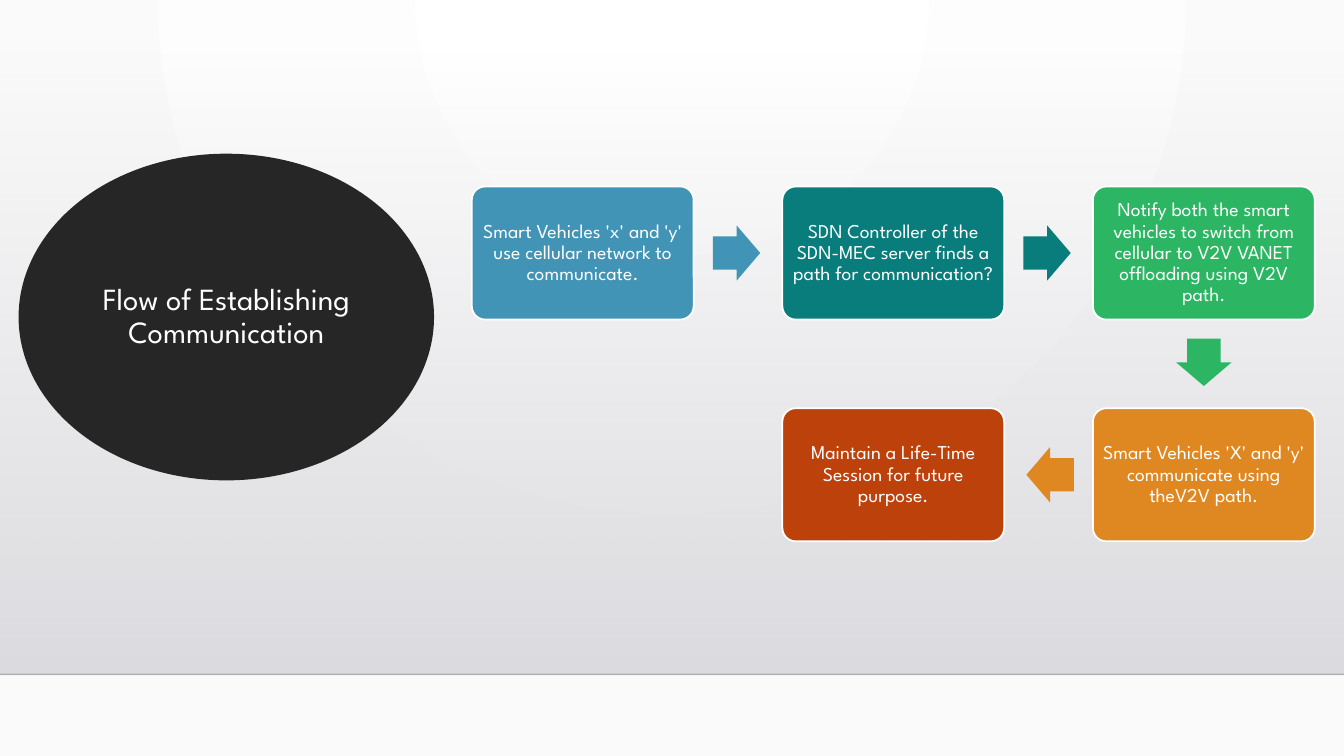
from lxml import etree
from pptx import Presentation
from pptx import util as u
from pptx.dml.color import RGBColor
from pptx.enum import shapes, text
from pptx.oxml import parse_xml
from pptx.oxml.ns import nsdecls, qn

FONT = "League Spartan"
STEP_WIDTH, STEP_HEIGHT = 2.2, 1.32
COLUMN_PITCH, ROW_PITCH = 3.08, 2.2
ARROW_LENGTH, ARROW_BREADTH, ARROW_GAP = 0.47, 0.55, 0.19

# Wording, colour, column, row, and the direction (right, down) to the next step
STEPS = [
    ("Smart Vehicles 'x' and 'y' use cellular network to communicate.",
     "4294B6", 0, 0, (1, 0)),
    ("SDN Controller of the SDN-MEC server finds a path for communication?",
     "087D7C", 1, 0, (1, 0)),
    ("Notify both the smart vehicles to switch from cellular to V2V VANET "
     "offloading using V2V path.", "2CB663", 2, 0, (0, 1)),
    ("Smart Vehicles 'X' and 'y' communicate using theV2V path.",
     "DF8822", 2, 1, (-1, 0)),
    ("Maintain a Life-Time Session for future purpose.",
     "BC410A", 1, 1, None),
]
ROTATIONS = {(1, 0): 0, (0, 1): 90, (-1, 0): 180}


def color(code):
    return RGBColor.from_string(code)


def set_gradient(properties, stops, direction):
    """Replace a solid fill by a gradient; stops are (percent, colour, opacity)."""
    marks = "".join(
        f'<a:gs pos="{place * 1000}"><a:srgbClr val="{code}">'
        f'<a:alpha val="{opacity * 1000}"/></a:srgbClr></a:gs>'
        for place, code, opacity in stops)
    gradient = parse_xml(
        f'<a:gradFill {nsdecls("a")} rotWithShape="1">'
        f'<a:gsLst>{marks}</a:gsLst>{direction}</a:gradFill>')
    properties.replace(properties.find(qn("a:solidFill")), gradient)


def add_shape(page, kind, left, top, width, height, fill, line=None, weight=0):
    shape = page.shapes.add_shape(
        kind, *(u.Inches(length) for length in (left, top, width, height)))
    shape.shadow.inherit = False
    shape.fill.solid()
    shape.fill.fore_color.rgb = color(fill)
    if line:
        shape.line.color.rgb = color(line)
        shape.line.width = u.Pt(weight)
    else:
        shape.line.fill.background()
    return shape


def write(shape, words, size, inset=None):
    frame = shape.text_frame
    frame.word_wrap = True
    frame.vertical_anchor = text.MSO_ANCHOR.MIDDLE
    if inset is not None:
        frame.margin_left = frame.margin_right = u.Inches(inset)
        frame.margin_top = frame.margin_bottom = u.Inches(inset)
    para = frame.paragraphs[0]
    para.alignment = text.PP_ALIGN.CENTER
    para.line_spacing = 0.9
    span = para.add_run()
    span.text = words
    span.font.name = FONT
    span.font.size = u.Pt(size)
    span.font.color.rgb = color("FFFFFF")


def add_backdrop(page, width, top, floor):
    """Shade the page down to a thin line at the floor."""
    page.background.fill.solid()
    set_gradient(
        page.element.find(".//" + qn("p:bgPr")),
        [(0, "FFFFFF", 100), (100, "FAFAFA", 100)],
        '<a:path path="circle">'
        '<a:fillToRect l="43000" t="0" r="43000" b="100000"/></a:path>')
    wall = add_shape(page, shapes.MSO_SHAPE.RECTANGLE,
                     0, top, width, floor - top, "DCDCE0")
    set_gradient(wall.element.spPr,
                 [(0, "DCDCE0", 0), (100, "DEDEE2", 100)],
                 '<a:lin ang="5400000" scaled="0"/>')
    edge = page.shapes.add_connector(
        shapes.MSO_CONNECTOR.STRAIGHT, 0, u.Inches(floor),
        u.Inches(width), u.Inches(floor))
    edge.line.color.rgb = color("000001")
    edge.line.width = u.Pt(1)
    tint = edge.element.spPr.find(".//" + qn("a:srgbClr"))
    etree.SubElement(tint, qn("a:alpha")).set("val", "20000")
    etree.SubElement(edge.element.spPr, qn("a:effectLst"))


def add_arrow(page, center_x, center_y, direction, fill):
    """Place an arrow just outside the step centred at the given point."""
    right, down = direction
    reach = ARROW_GAP + ARROW_LENGTH / 2
    middle_x = center_x + right * (STEP_WIDTH / 2 + reach)
    middle_y = center_y + down * (STEP_HEIGHT / 2 + reach)
    arrow = add_shape(page, shapes.MSO_SHAPE.RIGHT_ARROW,
                      middle_x - ARROW_LENGTH / 2,
                      middle_y - ARROW_BREADTH / 2,
                      ARROW_LENGTH, ARROW_BREADTH, fill)
    arrow.adjustments[0] = 0.6
    arrow.adjustments[1] = 0.5
    arrow.rotation = ROTATIONS[direction]


def add_flow(page, left, top):
    for words, fill, column, row, direction in STEPS:
        x = left + column * COLUMN_PITCH
        y = top + row * ROW_PITCH
        step = add_shape(page, shapes.MSO_SHAPE.ROUNDED_RECTANGLE, x, y,
                         STEP_WIDTH, STEP_HEIGHT, fill, "FFFFFF", 1.25)
        step.adjustments[0] = 0.1
        write(step, words, 14, inset=0.06)
        if direction:
            add_arrow(page, x + STEP_WIDTH / 2, y + STEP_HEIGHT / 2,
                      direction, fill)


def add_title(page, left, top, width, height):
    oval = add_shape(page, shapes.MSO_SHAPE.OVAL, left, top, width, height,
                     "262626", "262626", 13.75)
    write(oval, "Flow of Establishing Communication", 22)


def main():
    deck = Presentation()
    deck.slide_width, deck.slide_height = u.Inches(13.33), u.Inches(7.5)
    page = deck.slides.add_slide(deck.slide_layouts[6])
    add_backdrop(page, width=13.33, top=0.51, floor=6.69)
    add_flow(page, left=4.68, top=1.85)
    add_title(page, 0.28, 1.62, 3.93, 3.05)
    deck.save("out.pptx")


if __name__ == "__main__":
    main()
